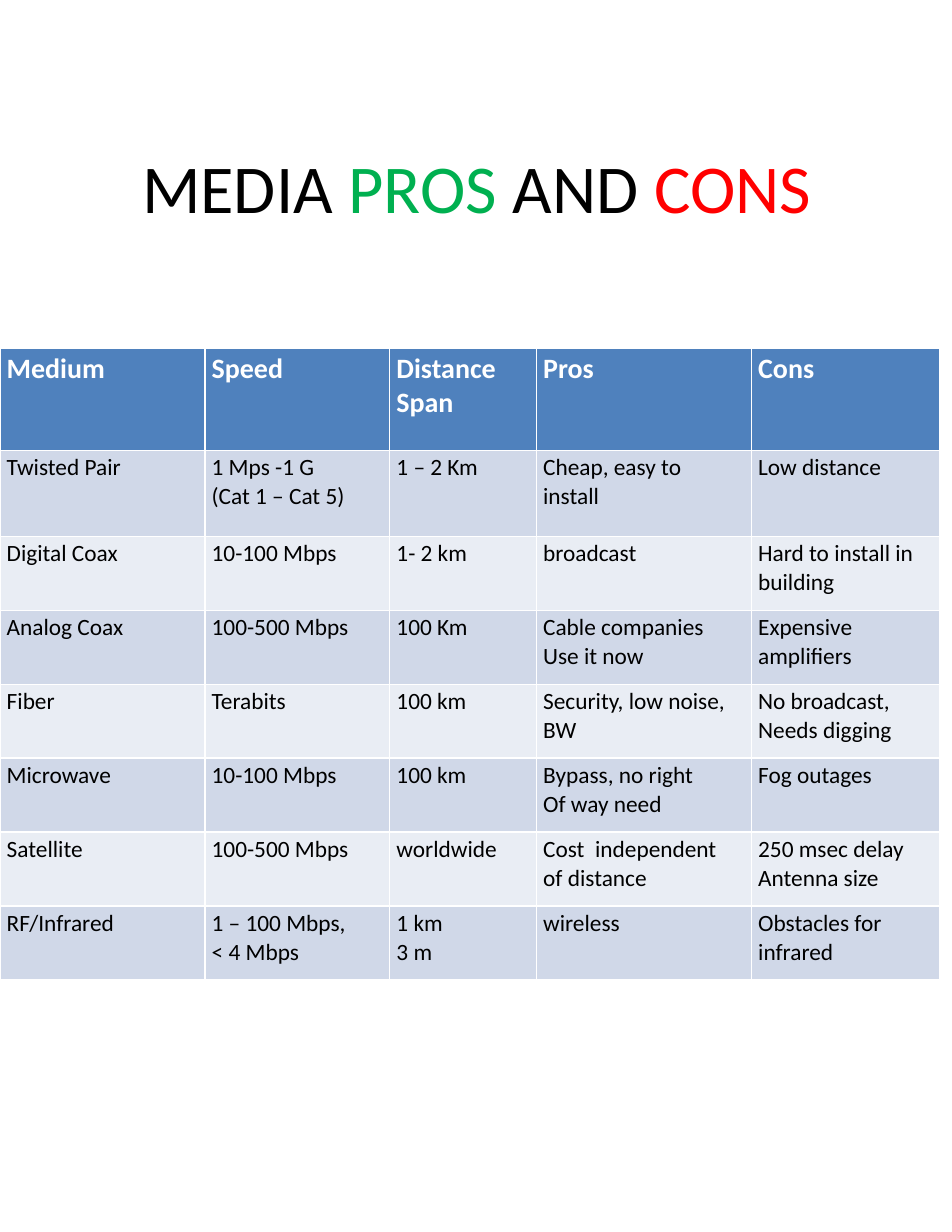
from pptx import Presentation
from pptx.dml.color import RGBColor
from pptx.util import Inches, Pt

COLORS = {
    "black": "000000", "white": "FFFFFF", "green": "00B050", "red": "FF0000",
    "header": "4F81BD", "odd": "D0D8E8", "even": "E9EDF4",
}
TITLE = [("MEDIA ", "black"), ("PROS ", "green"), ("AND ", "black"), ("CONS", "red")]
MEDIA = [
    ("Medium", "Speed", "Distance\nSpan", "Pros", "Cons"),
    ("Twisted Pair", "1 Mps -1 G\n(Cat 1 – Cat 5)", "1 – 2 Km",
     "Cheap, easy to\ninstall", "Low distance"),
    ("Digital Coax", "10-100 Mbps", "1- 2 km", "broadcast",
     "Hard to install in\nbuilding"),
    ("Analog Coax", "100-500 Mbps", "100 Km", "Cable companies\nUse it now",
     "Expensive\namplifiers"),
    ("Fiber", "Terabits", "100 km", "Security, low noise, BW",
     "No broadcast,\nNeeds digging"),
    ("Microwave", "10-100 Mbps", "100 km", "Bypass, no right\nOf way need",
     "Fog outages"),
    ("Satellite", "100-500 Mbps", "worldwide", "Cost  independent\nof distance",
     "250 msec delay\nAntenna size"),
    ("RF/Infrared", "1 – 100 Mbps,\n< 4 Mbps", "1 km\n3 m", "wireless",
     "Obstacles for\ninfrared"),
]
COLUMN_WIDTHS = [1.83, 1.65, 1.31, 1.92, 1.68]
ROW_HEIGHTS = [0.91, 0.77] + [0.66] * 6


def rgb(name):
    return RGBColor.from_string(COLORS[name])


def add_text(paragraph, text, size=15, color="black", bold=False):
    run = paragraph.add_run()
    run.text = text
    run.font.name = "Calibri"
    run.font.size = Pt(size)
    run.font.bold = bold
    run.font.color.rgb = rgb(color)


def fill_cell(cell, text, fill, **text_format):
    cell.fill.solid()
    cell.fill.fore_color.rgb = rgb(fill)
    cell.margin_left = cell.margin_right = Inches(0.06)
    cell.margin_top = cell.margin_bottom = Inches(0.03)
    frame = cell.text_frame
    for number, line in enumerate(text.split("\n")):
        paragraph = frame.add_paragraph() if number else frame.paragraphs[0]
        add_text(paragraph, line, **text_format)


def main():
    deck = Presentation()
    deck.slide_width, deck.slide_height = Inches(8.5), Inches(11)
    slide = deck.slides.add_slide(deck.slide_layouts[6])

    comparison = slide.shapes.add_table(
        len(MEDIA), len(COLUMN_WIDTHS), Inches(0), Inches(3.11),
        Inches(sum(COLUMN_WIDTHS)), Inches(sum(ROW_HEIGHTS))).table
    for column, width in zip(comparison.columns, COLUMN_WIDTHS):
        column.width = Inches(width)
    for index, (row, height, medium) in enumerate(
            zip(comparison.rows, ROW_HEIGHTS, MEDIA)):
        row.height = Inches(height)
        for cell, text in zip(row.cells, medium):
            if index == 0:
                fill_cell(cell, text, "header", size=18, color="white", bold=True)
            else:
                fill_cell(cell, text, "odd" if index % 2 else "even")

    title = slide.shapes.add_textbox(
        Inches(1.17), Inches(1.25), Inches(6.75), Inches(0.84)).text_frame
    title.word_wrap = True
    for text, color in TITLE:
        add_text(title.paragraphs[0], text, size=44, color=color)

    deck.save("out.pptx")


if __name__ == "__main__":
    main()
